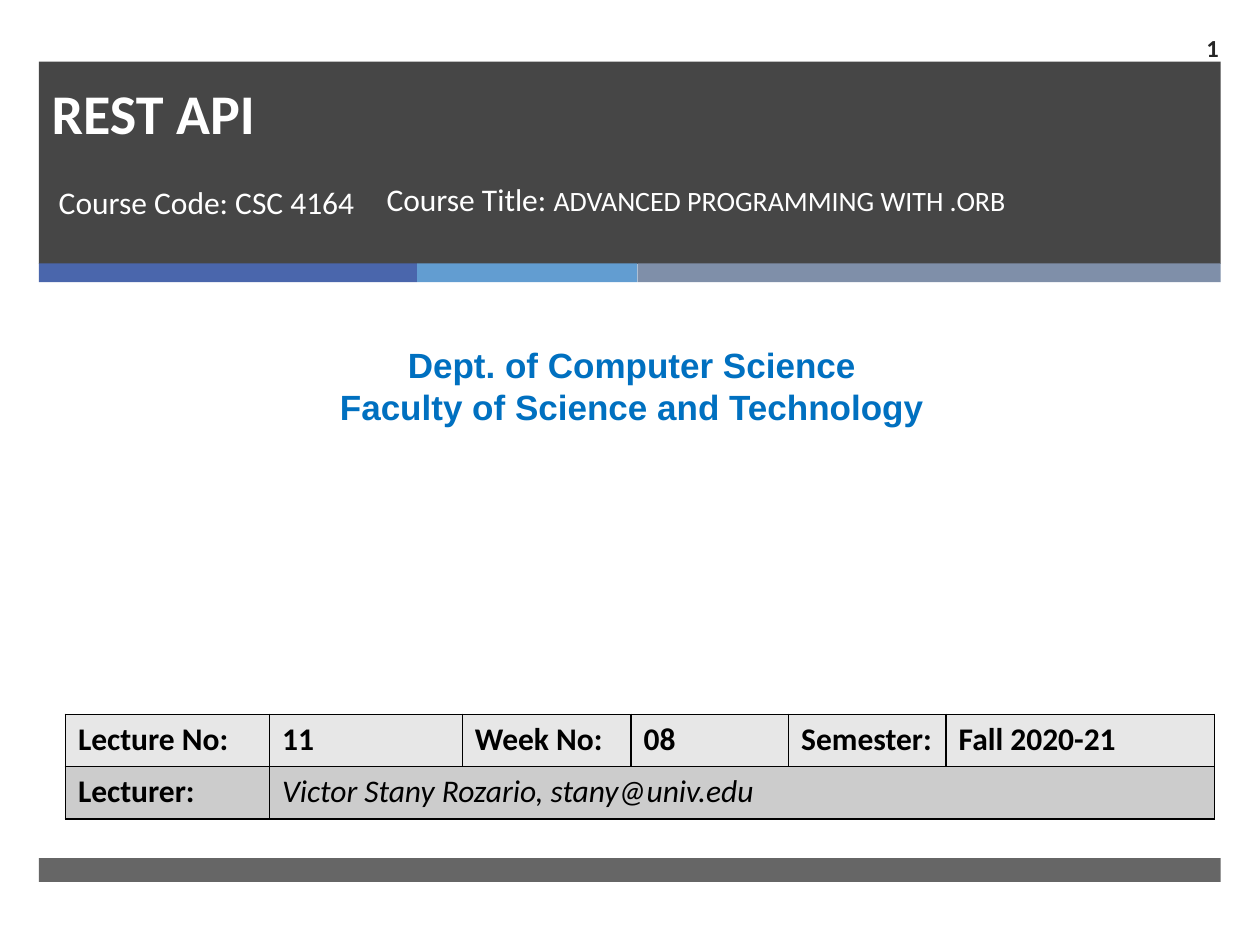
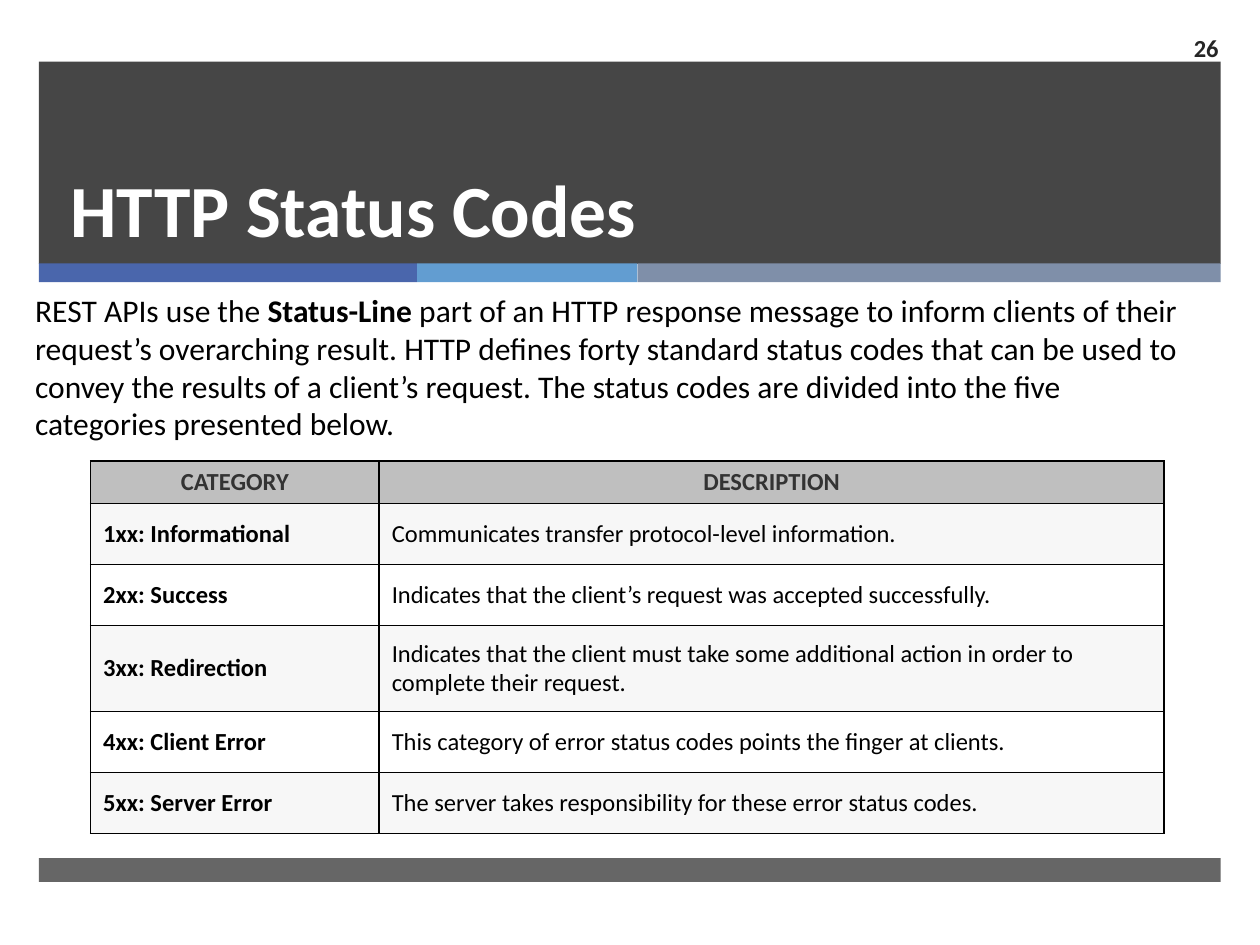
from dataclasses import dataclass
from typing import Optional, Sequence

import pptx
import pptx.dml.color
import pptx.enum.shapes
import pptx.enum.text
import pptx.oxml
import pptx.oxml.ns
import pptx.util
from pptx.dml.color import RGBColor
from pptx.util import Pt

Align = pptx.enum.text.PP_ALIGN
Anchor = pptx.enum.text.MSO_ANCHOR

# Colours and fonts
WHITE = RGBColor(0xFF, 0xFF, 0xFF)
BLACK = RGBColor(0x00, 0x00, 0x00)
CHARCOAL = RGBColor(0x26, 0x26, 0x26)
INDIGO = RGBColor(0x4A, 0x66, 0xAC)
SKY = RGBColor(0x62, 0x9D, 0xD1)
SLATE = RGBColor(0x7F, 0x8F, 0xA9)
DEPT_BLUE = RGBColor(0x00, 0x70, 0xC0)
HEADER_TEXT = RGBColor(0x33, 0x33, 0x33)
HEADER_FILL = RGBColor(0xBF, 0xBF, 0xBF)
ROW_TINT = RGBColor(0xF7, 0xF7, 0xF7)
LECTURE_FILL = RGBColor(0xE7, 0xE7, 0xE7)
LECTURER_FILL = RGBColor(0xCC, 0xCC, 0xCC)
FONT = "Calibri"


@dataclass(frozen=True)
class Area:
    left: float
    top: float
    width: float
    height: float


@dataclass(frozen=True)
class Style:
    size: float
    color: RGBColor
    bold: bool = False
    italic: bool = False
    name: str = FONT
    align: Align = Align.LEFT
    anchor: Anchor = Anchor.TOP
    spacing: Optional[float] = None


@dataclass(frozen=True)
class Span:
    text: str
    size: Optional[float] = None
    bold: Optional[bool] = None


@dataclass(frozen=True)
class Band:
    area: Area
    color: RGBColor
    opacity: int = 100


# Shared frame of every slide
BAND_LEFT, STRIPE_TOP, STRIPE_HEIGHT = 22.3, 150.5, 10.8
BANDS = (
    Band(Area(BAND_LEFT, 35.3, 675.2, 115.6), CHARCOAL, 85),
    Band(Area(BAND_LEFT, STRIPE_TOP, 216, STRIPE_HEIGHT), INDIGO),
    Band(Area(BAND_LEFT + 216, STRIPE_TOP, 126, STRIPE_HEIGHT), SKY),
    Band(Area(BAND_LEFT + 342, STRIPE_TOP, 333.2, STRIPE_HEIGHT), SLATE),
    Band(Area(BAND_LEFT, 490.4, 675.2, 13.6), CHARCOAL, 70),
)
NUMBER_AREA = Area(653.8, 13, 49.7, 28.1)
NUMBER_STYLE = Style(14, CHARCOAL, bold=True, align=Align.RIGHT, anchor=Anchor.MIDDLE)
COURSE_STYLE = Style(18, WHITE)


def points(area: Area) -> tuple:
    return Pt(area.left), Pt(area.top), Pt(area.width), Pt(area.height)


def write(frame, lines: Sequence[Sequence[Span]], style: Style) -> None:
    """Fill a text frame, one paragraph per line of spans."""
    for index, line in enumerate(lines):
        para = frame.add_paragraph() if index else frame.paragraphs[0]
        para.alignment = style.align
        para.space_before = Pt(0)
        if style.spacing:
            para.line_spacing = Pt(style.spacing)
        font = para.font
        font.size, font.name = Pt(style.size), style.name
        font.bold, font.italic = style.bold, style.italic
        font.color.rgb = style.color
        for span in line:
            run = para.add_run()
            run.text = span.text
            if span.size:
                run.font.size = Pt(span.size)
            if span.bold is not None:
                run.font.bold = span.bold


def fill_box(box, area: Area, lines: Sequence[Sequence[Span]], style: Style) -> None:
    box.left, box.top, box.width, box.height = points(area)
    frame = box.text_frame
    frame.word_wrap = True
    frame.auto_size = pptx.enum.text.MSO_AUTO_SIZE.NONE
    frame.vertical_anchor = style.anchor
    write(frame, lines, style)


def add_text(page, area: Area, lines: Sequence[Sequence[Span]], style: Style) -> None:
    fill_box(page.shapes.add_textbox(*points(area)), area, lines, style)


def add_band(page, band: Band) -> None:
    shape = page.shapes.add_shape(pptx.enum.shapes.MSO_SHAPE.RECTANGLE, *points(band.area))
    shape.shadow.inherit = False
    shape.line.fill.background()
    shape.fill.solid()
    shape.fill.fore_color.rgb = band.color
    if band.opacity < 100:
        color = shape.fill._xPr.find(".//" + pptx.oxml.ns.qn("a:srgbClr"))
        color.append(pptx.oxml.parse_xml(
            f'<a:alpha {pptx.oxml.ns.nsdecls("a")} val="{band.opacity * 1000}"/>'))


def add_page(deck, layout: int, number: int):
    """Add a slide with its bands behind the placeholders and its number."""
    page = deck.slides.add_slide(deck.slide_layouts[layout])
    placeholders = list(page.placeholders)
    for band in BANDS:
        add_band(page, band)
    for holder in placeholders:
        page.shapes._spTree.append(holder._element)
    add_text(page, NUMBER_AREA, [[Span(str(number))]], NUMBER_STYLE)
    return page


def add_grid(page, left: float, top: float, columns: Sequence[float], rows: Sequence[float]):
    area = Area(left, top, sum(columns), sum(rows))
    table = page.shapes.add_table(len(rows), len(columns), *points(area)).table
    table.first_row = table.horz_banding = False
    for column, width in zip(table.columns, columns):
        column.width = Pt(width)
    for row, height in zip(table.rows, rows):
        row.height = Pt(height)
    return table


def fill_cell(cell, text: str, style: Style, fill: RGBColor) -> None:
    properties = cell._tc.get_or_add_tcPr()
    for side in ("lnL", "lnR", "lnT", "lnB"):
        properties.append(pptx.oxml.parse_xml(
            f'<a:{side} {pptx.oxml.ns.nsdecls("a")} w="{Pt(1)}"><a:solidFill>'
            f'<a:srgbClr val="{BLACK}"/></a:solidFill></a:{side}>'))
    cell.fill.solid()
    cell.fill.fore_color.rgb = fill
    cell.vertical_anchor = style.anchor
    if text:
        write(cell.text_frame, [[Span(text)]], style)


def build_cover(deck) -> None:
    page = add_page(deck, 0, 1)
    fill_box(page.shapes.title, Area(22.3, 46.8, 625.7, 40.3), [[Span("REST API")]],
             Style(32, WHITE, bold=True, anchor=Anchor.BOTTOM))
    fill_box(page.placeholders[1], Area(22.3, 100.8, 191.5, 55.4),
             [[Span(" Course Code: CSC 4164")]], COURSE_STYLE)
    add_text(page, Area(213.8, 99.4, 375.8, 55.4),
             [[Span("Course Title: "), Span("ADVANCED PROGRAMMING WITH .ORB", size=16)]],
             COURSE_STYLE)
    add_text(page, Area(5.8, 193, 710.6, 55.4),
             [[Span("Dept. of Computer Science")], [Span("Faculty of Science and Technology")]],
             Style(20, DEPT_BLUE, bold=True, name="Arial", align=Align.CENTER))

    # Lecture details
    label = Style(18, BLACK, bold=True)
    table = add_grid(page, 37.4, 408.2, (116.6, 110.2, 96.5, 90, 90, 153.4), (29.9, 29.9))
    details = ("Lecture No:", "11", "Week No:", "08", "Semester:", "Fall 2020-21")
    for column, text in enumerate(details):
        fill_cell(table.cell(0, column), text, label, LECTURE_FILL)
    table.cell(1, 1).merge(table.cell(1, 5))
    lecturer = ("Lecturer:", "Victor Stany Rozario, stany@univ.edu", "", "", "", "")
    for column, text in enumerate(lecturer):
        style = Style(18, BLACK, italic=True) if column else label
        fill_cell(table.cell(1, column), text, style, LECTURER_FILL)


STATUS_CODES = (
    ("1xx: Informational", "Communicates transfer protocol-level information."),
    ("2xx: Success", "Indicates that the client’s request was accepted successfully."),
    ("3xx: Redirection", "Indicates that the client must take some additional action in order to "
                         "complete their request."),
    ("4xx: Client Error", "This category of error status codes points the finger at clients."),
    ("5xx: Server Error", "The server takes responsibility for these error status codes."),
)


def build_status_codes(deck) -> None:
    page = add_page(deck, 5, 26)
    fill_box(page.shapes.title, Area(33.1, 44.6, 555.1, 103), [[Span("HTTP Status Codes")]],
             Style(42, WHITE, bold=True, anchor=Anchor.BOTTOM, spacing=46))
    add_text(page, Area(13, 162.7, 678.2, 94.3), [[
        Span("REST APIs use the "),
        Span("Status-Line", bold=True),
        Span(" part of an HTTP response message to inform clients of their request’s "
             "overarching result. HTTP defines forty standard status codes that can be used to "
             "convey the results of a client’s request. The status codes are divided into the "
             "five categories presented below."),
    ]], Style(18, BLACK))

    # Status code categories
    table = add_grid(page, 51.8, 263.5, (164.9, 448.6), (24, 34.8, 34.8, 49.4, 34.8, 34.8))
    header = Style(14, HEADER_TEXT, bold=True, align=Align.CENTER, anchor=Anchor.MIDDLE)
    for column, text in enumerate(("CATEGORY", "DESCRIPTION")):
        fill_cell(table.cell(0, column), text, header, HEADER_FILL)
    for row, texts in enumerate(STATUS_CODES, start=1):
        fill = ROW_TINT if row % 2 else WHITE
        for column, text in enumerate(texts):
            style = Style(14, BLACK, bold=column == 0, anchor=Anchor.MIDDLE)
            fill_cell(table.cell(row, column), text, style, fill)


def main() -> None:
    deck = pptx.Presentation()
    deck.slide_width, deck.slide_height = Pt(720), Pt(540)
    build_cover(deck)
    build_status_codes(deck)
    deck.save("out.pptx")


if __name__ == "__main__":
    main()
